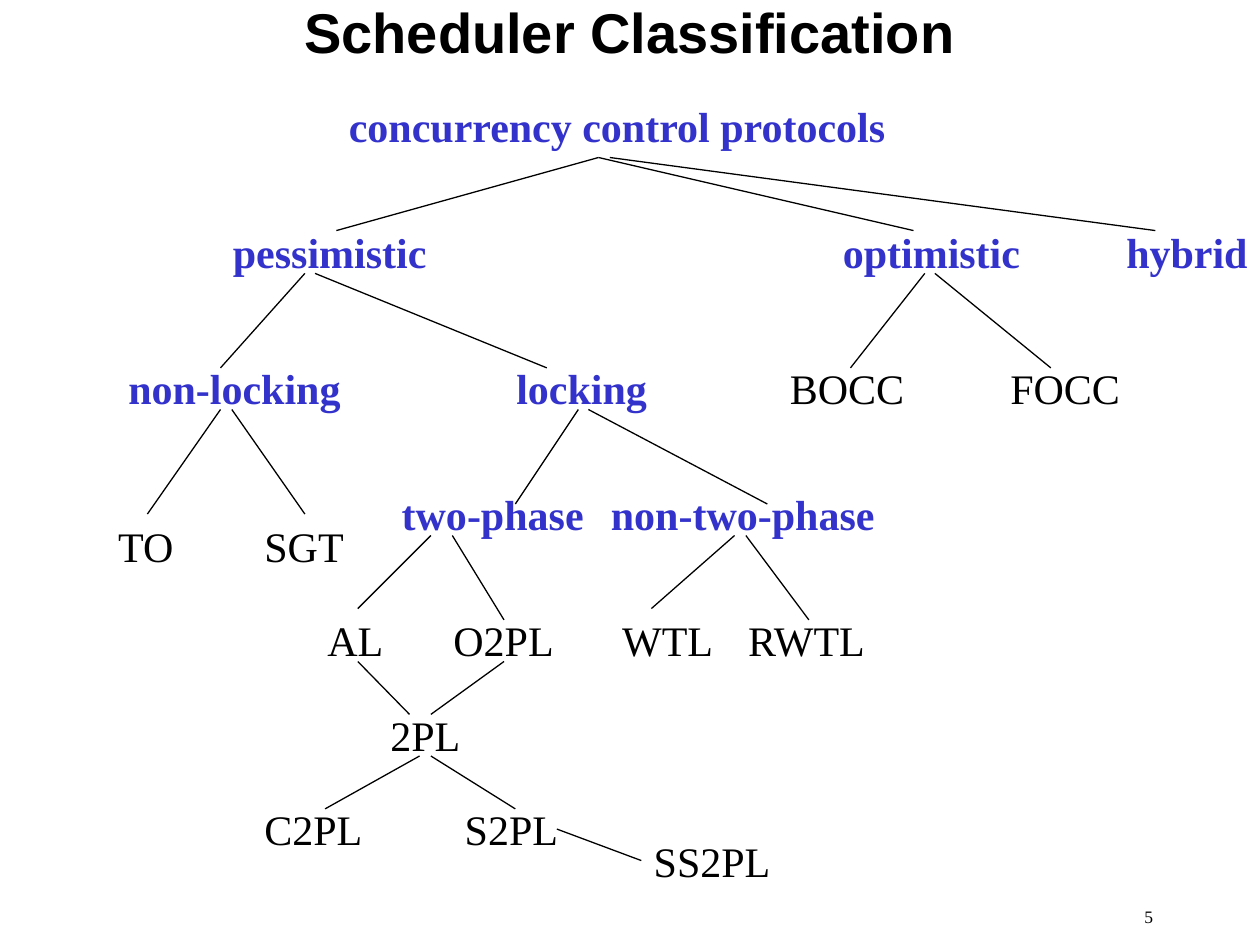
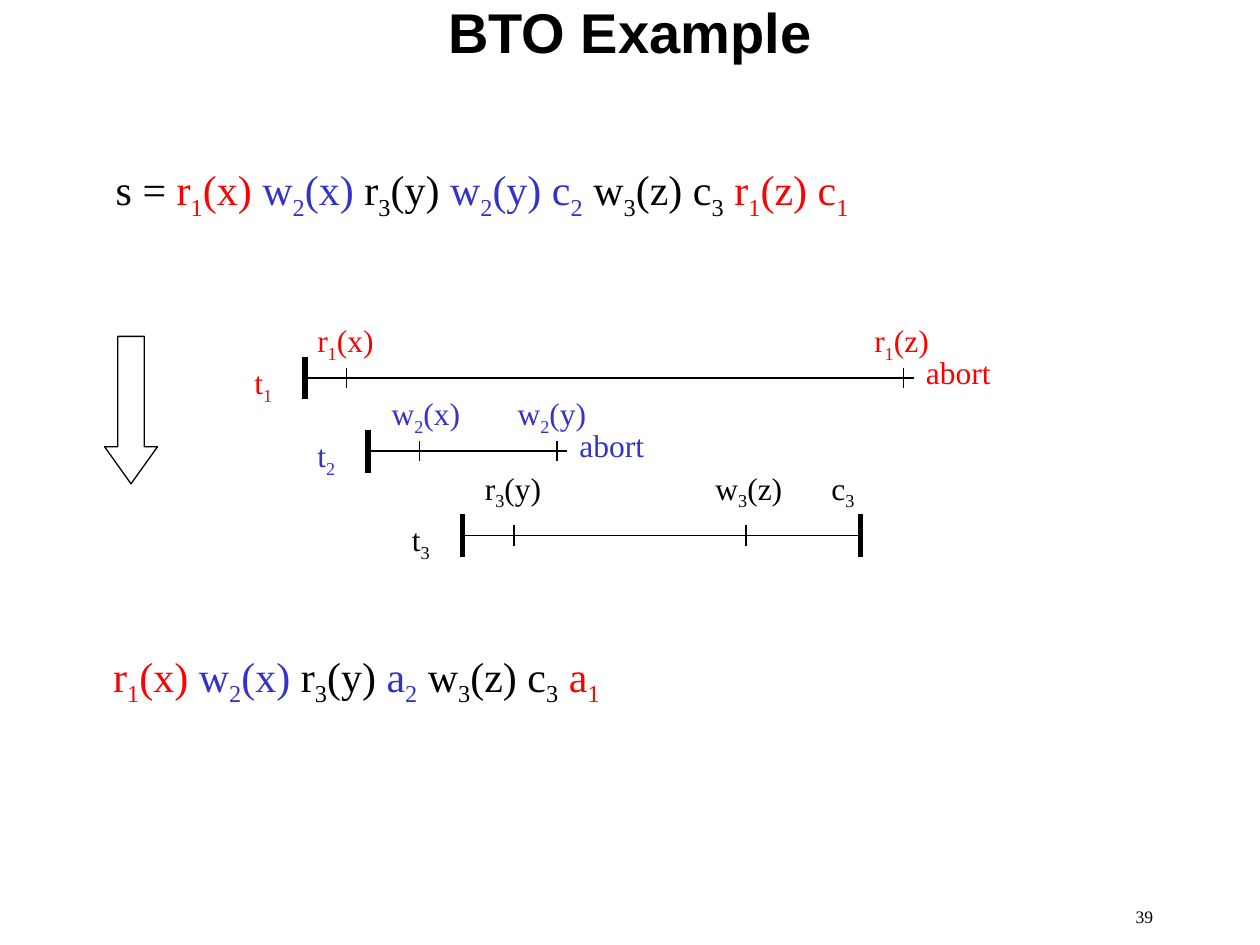
from lxml import etree
from pptx import Presentation
from pptx import util as u
from pptx.dml.color import RGBColor
from pptx.enum import shapes, text
from pptx.oxml.ns import qn

COLORS = {"black": "000000", "blue": "3333CC", "red": "FF0000"}
SERIF, SANS = "Times New Roman", "Arial"
SLACK = 0.02  # spare width that keeps a fitted label on one line


class Deck:
    def __init__(self):
        self.prs = Presentation()
        self.prs.slide_width = u.Inches(10)
        self.prs.slide_height = u.Inches(7.5)
        self.s = None

    def color(self, name):
        return RGBColor.from_string(COLORS[name])

    def slide(self, title, number):
        self.s = self.prs.slides.add_slide(self.prs.slide_layouts[6])
        self.label(0.75, 0, 8.5, [("black", title)], 32, h=0.5, font=SANS, bold=True,
                   align=text.PP_ALIGN.CENTER, anchor=text.MSO_ANCHOR.MIDDLE)
        self.label(7.17, 7.14, 2.08, [("black", str(number))], 10, h=0.36,
                   align=text.PP_ALIGN.RIGHT)

    def label(self, x, y, w, parts, size, h=0.5, font=SERIF, bold=False,
              align=None, anchor=text.MSO_ANCHOR.TOP):
        """parts: (colour, text) pairs; text between underscores is subscript.

        A label without an alignment fits its text instead of wrapping.
        """
        fitted = align is None
        if fitted:
            w += SLACK
        sp = self.s.shapes.add_textbox(*map(u.Inches, (x, y, w, h)))
        tf = sp.text_frame
        tf.word_wrap = not fitted
        tf.vertical_anchor = anchor
        if fitted:
            tf.auto_size = text.MSO_AUTO_SIZE.SHAPE_TO_FIT_TEXT
        p = tf.paragraphs[0]
        p.alignment = align
        for color, content in parts:
            for i, piece in enumerate(content.split("_")):
                if not piece:
                    continue
                r = p.add_run()
                r.text = piece
                r.font.size, r.font.name, r.font.bold = u.Pt(size), font, bold
                r.font.color.rgb = self.color(color)
                if i % 2:
                    r.font._element.set("baseline", "-25000")

    def line(self, x1, y1, x2, y2, width=0.75):
        sp = self.s.shapes.add_connector(
            shapes.MSO_CONNECTOR.STRAIGHT, *map(u.Inches, (x1, y1, x2, y2)))
        sp.line.color.rgb = self.color("black")
        sp.line.width = u.Pt(width)
        etree.SubElement(sp._element.spPr, qn("a:effectLst"))

    def down_arrow(self, x, y, w, h):
        sp = self.s.shapes.add_shape(
            shapes.MSO_SHAPE.DOWN_ARROW, *map(u.Inches, (x, y, w, h)))
        sp.adjustments[0], sp.adjustments[1] = 0.5, 0.7
        sp.shadow.inherit = False
        sp.fill.background()
        sp.line.color.rgb = self.color("black")
        sp.line.width = u.Pt(0.75)

    def tick(self, x, y, half, width=0.75):
        self.line(x, y - half, x, y + half, width)

    def timeline(self, color, name, y, spans, ops, lift=0.5, aborts=True):
        """spans: (start x, end x); ops: (tick x, label x, label width, text)."""
        start, end = spans[0][0], spans[-1][1]
        for x1, x2 in spans:
            self.line(x1, y, x2, y)
        self.tick(start, y, 0.17, 3)
        self.label(start - 0.5, y - 0.17, 0.34, [(color, name)], 18, h=0.44)
        for x, label_x, w, op in ops:
            if x < end:
                self.tick(x, y, 0.08)
            self.label(label_x, y - lift, w, [(color, op)], 18, h=0.44)
        if aborts:
            self.label(end, y - 0.25, 0.71, [(color, "abort")], 18, h=0.4)
        else:
            self.tick(end, y, 0.17, 3)


# Classes (blue) and protocols (black): row top -> (left, width, name)
CLASSES = {
    0.75: [(2.67, 4.47, "concurrency control protocols")],
    1.75: [(1.75, 1.73, "pessimistic"), (6.59, 1.6, "optimistic"),
           (8.84, 1.16, "hybrid")],
    2.83: [(0.92, 1.88, "non-locking"), (4, 1.24, "locking")],
    3.83: [(3.09, 1.64, "two-phase"), (4.75, 2.29, "non-two-phase")],
}
PROTOCOLS = {
    2.83: [(6.17, 1.11, "BOCC"), (7.92, 1.07, "FOCC")],
    4.08: [(0.84, 0.64, "TO"), (2, 0.83, "SGT")],
    4.83: [(2.5, 0.64, "AL"), (3.5, 0.99, "O2PL"), (4.84, 0.92, "WTL"),
           (5.84, 1.14, "RWTL")],
    5.58: [(3, 0.75, "2PL")],
    6.33: [(2, 0.98, "C2PL"), (3.59, 0.94, "S2PL")],
    6.58: [(5.09, 1.12, "SS2PL")],
}
# Branches: start y -> (start x, end x, end y)
BRANCHES = {
    1.25: [(4.75, 2.67, 1.83), (4.75, 7.25, 1.83), (4.84, 9.17, 1.83)],
    2.17: [(2.42, 1.75, 2.92), (2.5, 4.34, 2.92), (7.34, 6.75, 2.92),
           (7.42, 8.34, 2.92)],
    3.25: [(1.75, 1.17, 4.08), (1.84, 2.42, 4.08), (4.59, 4.09, 4),
           (4.67, 6.09, 4)],
    4.25: [(3.42, 2.84, 4.83), (3.59, 4, 4.92), (5.83, 5.17, 4.83),
           (5.92, 6.42, 4.92)],
    5.25: [(2.84, 3.25, 5.67), (4, 3.42, 5.67)],
    6: [(3.33, 2.58, 6.42), (3.42, 4.09, 6.42)],
    6.58: [(4.42, 5.09, 6.83)],
}


def scheduler_tree(deck):
    deck.slide("Scheduler Classification", 5)
    for color, rows in (("blue", CLASSES), ("black", PROTOCOLS)):
        for y, nodes in rows.items():
            for x, w, name in nodes:
                deck.label(x, y, w, [(color, name)], 24, bold=color == "blue")
    for y1, branches in BRANCHES.items():
        for x1, x2, y2 in branches:
            deck.line(x1, y1, x2, y2)


def bto_example(deck):
    deck.slide("BTO Example", 39)

    # Input schedule and resulting schedule
    deck.label(0.82, 1.25, 6.01, [
        ("black", "s = "), ("red", "r_1_(x) "), ("blue", "w_2_(x)"),
        ("black", " r_3_(y) "), ("blue", "w_2_(y) c_2_"),
        ("black", " w_3_(z) c_3_ "), ("red", "r_1_(z) c_1_")], 24, h=0.56)
    deck.label(0.8, 5.11, 4.06, [
        ("red", "r_1_(x) "), ("blue", "w_2_(x)"), ("black", " r_3_(y) "),
        ("blue", "a_2_"), ("black", " w_3_(z) c_3_ "), ("red", "a_1_")], 24, h=0.56)

    # Transactions over time
    deck.down_arrow(0.83, 2.67, 0.42, 1.17)
    deck.timeline("red", "t_1_", 3, [(2.42, 7.25)], [
        (2.75, 2.42, 0.64, "r_1_(x)"), (7.17, 6.84, 0.63, "r_1_(z)")])
    deck.timeline("blue", "t_2_", 3.58, [(2.92, 4.5)], [
        (3.33, 3.01, 0.74, "w_2_(x)"), (4.42, 4.01, 0.74, "w_2_(y)")])
    deck.timeline("black", "t_3_", 4.25, [(3.67, 4.67), (4.58, 6.5), (6.33, 6.83)], [
        (4.08, 3.75, 0.66, "r_3_(y)"), (5.92, 5.58, 0.74, "w_3_(z)"),
        (6.83, 6.5, 0.4, "c_3_")], lift=0.58, aborts=False)


def main():
    deck = Deck()
    scheduler_tree(deck)
    bto_example(deck)
    deck.prs.save("out.pptx")


if __name__ == "__main__":
    main()
